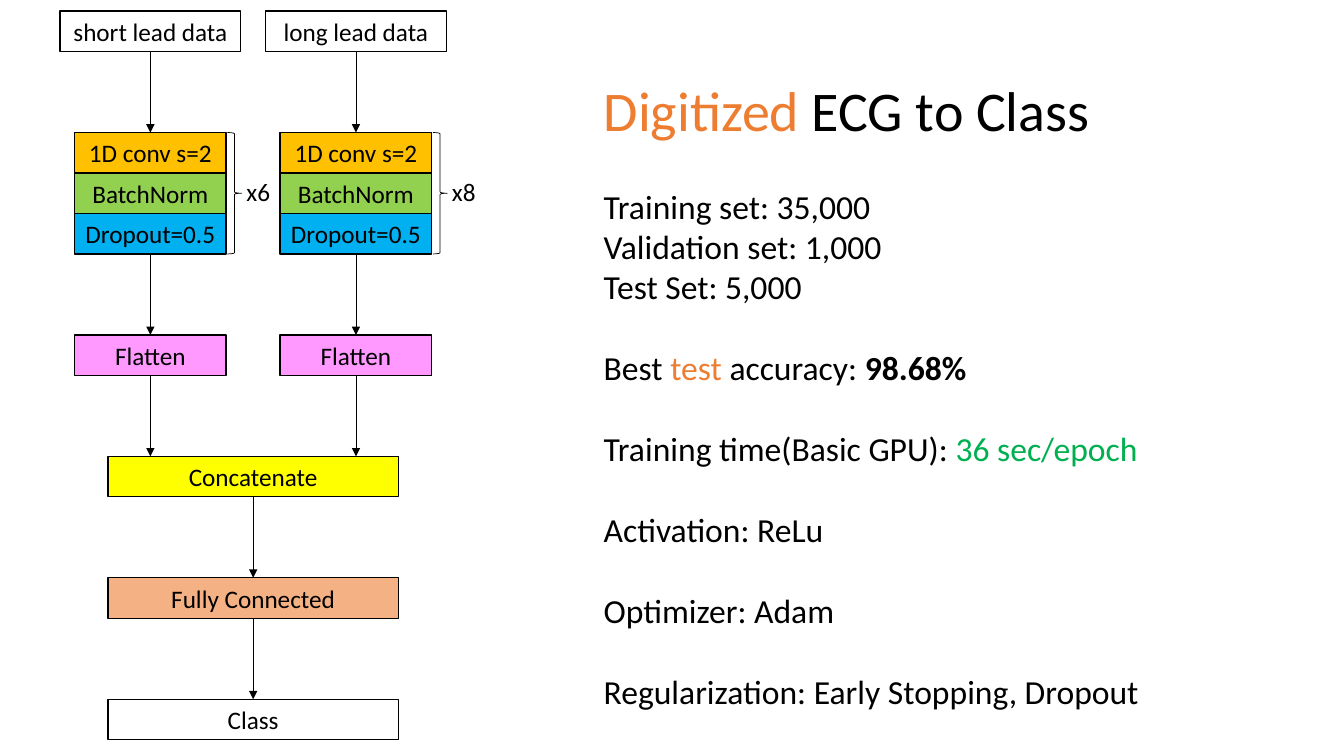
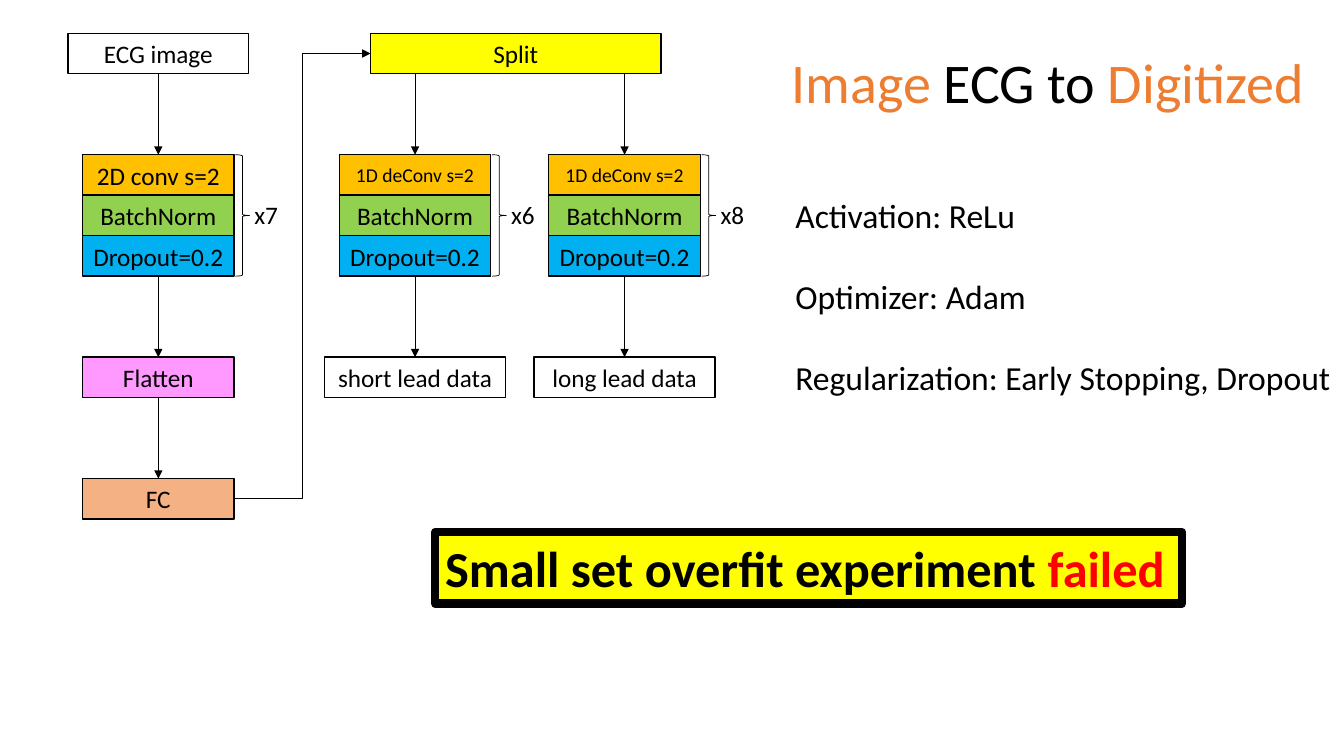
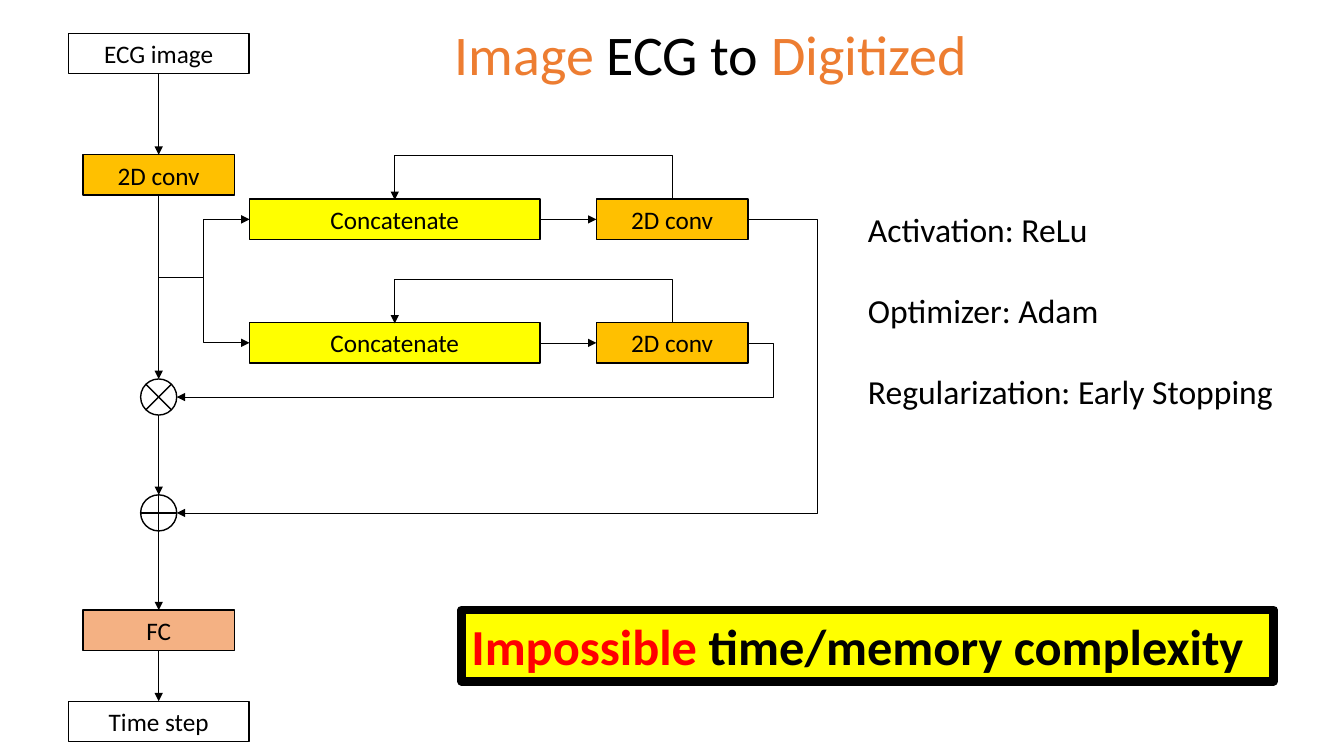
from lxml import etree
from pptx import Presentation
from pptx import util as u
from pptx.dml.color import RGBColor
from pptx.enum import shapes, text
from pptx.oxml.ns import qn

BLACK = RGBColor(0x00, 0x00, 0x00)
WHITE = RGBColor(0xFF, 0xFF, 0xFF)
YELLOW = RGBColor(0xFF, 0xFF, 0x00)
AMBER = RGBColor(0xFF, 0xC0, 0x00)
LIME = RGBColor(0x92, 0xD0, 0x50)
SKY = RGBColor(0x00, 0xB0, 0xF0)
PINK = RGBColor(0xFF, 0x99, 0xFF)
PEACH = RGBColor(0xF4, 0xB1, 0x83)
ORANGE = RGBColor(0xED, 0x7D, 0x31)
GREEN = RGBColor(0x00, 0xB0, 0x50)
RED = RGBColor(0xFF, 0x00, 0x00)

FONT = "Calibri"
ROW = 1.02
WIDE, BLOCK, DATA = 7.32, 3.82, 4.56
JUNCTION = 0.91

IMAGE_TITLE = [("Image", ORANGE), (" ECG to ", BLACK), ("Digitized", ORANGE)]
ACTIVATION = [[("Activation: ReLu", BLACK)]]
OPTIMIZER = [[("Optimizer: Adam", BLACK)]]
DROPOUT = [[("Regularization: Early Stopping, Dropout", BLACK)]]
EARLY_STOPPING = [[("Regularization: Early Stopping", BLACK)]]


def apply(target, values):
    for name, value in values.items():
        setattr(target, name, value)


def place(shape, left, top, width, height):
    apply(shape, {"left": u.Cm(left), "top": u.Cm(top),
                  "width": u.Cm(width), "height": u.Cm(height)})


def write(para, runs, size, align=text.PP_ALIGN.LEFT, bold=False):
    para.alignment = align
    for words, color, *weight in runs:
        span = para.add_run()
        span.text = words
        apply(span.font, {"name": FONT, "size": u.Pt(size),
                          "bold": weight[0] if weight else bold})
        span.font.color.rgb = color


def frame_of(shape, anchor):
    frame = shape.text_frame
    apply(frame, {"word_wrap": True, "vertical_anchor": anchor,
                  "auto_size": text.MSO_AUTO_SIZE.NONE})
    return frame


def add_page(deck, runs, left, top):
    page = deck.slides.add_slide(deck.slide_layouts[1])
    title = page.shapes.title
    place(title, left, top, 13.6, 1.96)
    frame = frame_of(title, text.MSO_ANCHOR.TOP)
    write(frame.paragraphs[0], runs, 40)
    return page


def add_facts(page, left, top, width, height, groups):
    body = page.placeholders[1]
    place(body, left, top, width, height)
    frame = frame_of(body, text.MSO_ANCHOR.TOP)
    lines = [(runs, runs is group[-1]) for group in groups for runs in group]
    for index, (runs, closes_group) in enumerate(lines):
        para = frame.add_paragraph() if index else frame.paragraphs[0]
        apply(para, {"space_before": u.Pt(0), "line_spacing": 1.0,
                     "space_after": u.Pt(29 if closes_group else 0)})
        write(para, runs, 24)
        props = para._p.get_or_add_pPr()
        props.set("marL", "0")
        props.set("indent", "0")
        etree.SubElement(props, qn("a:buNone"))


def add_outline(page, kind, left, top, width, height, fill, weight):
    shape = page.shapes.add_shape(
        kind, u.Cm(left), u.Cm(top), u.Cm(width), u.Cm(height))
    shape.shadow.inherit = False
    if fill is None:
        shape.fill.background()
    else:
        shape.fill.solid()
        shape.fill.fore_color.rgb = fill
    shape.line.color.rgb = BLACK
    shape.line.width = u.Pt(weight)
    return shape


def add_node(page, label, center, top, width, fill, size=18):
    box = add_outline(page, shapes.MSO_SHAPE.RECTANGLE,
                      center - width / 2, top, width, ROW, fill, 1)
    frame = frame_of(box, text.MSO_ANCHOR.MIDDLE)
    apply(frame, {"margin_left": 0, "margin_right": 0})
    write(frame.paragraphs[0], [(label, BLACK)], size, text.PP_ALIGN.CENTER)


def add_stack(page, center, top, conv, dropout, repeat, conv_size=18):
    layers = [(conv, AMBER, conv_size), ("BatchNorm", LIME, 18), (dropout, SKY, 18)]
    for index, (label, fill, size) in enumerate(layers):
        add_node(page, label, center, top + index * ROW, BLOCK, fill, size)
    right = center + BLOCK / 2
    add_outline(page, shapes.MSO_SHAPE.RIGHT_BRACE,
                right + 0.03, top, 0.36, 3 * ROW, None, 0.5)
    box = page.shapes.add_textbox(
        u.Cm(right + 0.26), u.Cm(top + ROW - 0.03), u.Cm(1.5), u.Cm(ROW))
    frame = frame_of(box, text.MSO_ANCHOR.TOP)
    write(frame.paragraphs[0], [(repeat, BLACK)], 18)


def add_junction(page, kind, center, top):
    add_outline(page, kind, center - JUNCTION / 2, top, JUNCTION, JUNCTION, WHITE, 1)


def add_callout(page, left, top, width, runs):
    box = add_outline(page, shapes.MSO_SHAPE.RECTANGLE,
                      left, top, width, 1.8, YELLOW, 6)
    frame = frame_of(box, text.MSO_ANCHOR.TOP)
    write(frame.paragraphs[0], runs, 36, bold=True)


def add_arrow(page, start, end, kind=shapes.MSO_CONNECTOR.STRAIGHT):
    arrow = page.shapes.add_connector(kind, *map(u.Cm, start + end))
    arrow.line.color.rgb = BLACK
    arrow.line.width = u.Pt(0.5)
    props = arrow._element.spPr
    etree.SubElement(props.find(qn("a:ln")), qn("a:tailEnd"), type="triangle")
    etree.SubElement(props, qn("a:effectLst"))
    return arrow


def add_drop(page, x, top, bottom):
    add_arrow(page, (x, top), (x, bottom))


def add_elbow(page, start, end, bend, axis=0):
    arrow = add_arrow(page, start, end, shapes.MSO_CONNECTOR.ELBOW)
    share = (bend - start[axis]) / (end[axis] - start[axis])
    guides = arrow._element.spPr.find(qn("a:prstGeom")).find(qn("a:avLst"))
    etree.SubElement(guides, qn("a:gd"), name="adj1",
                     fmla=f"val {round(share * 100000)}")
    return arrow


def add_loop(page, start, end, bend):
    arrow = add_elbow(page, start, end, bend, axis=1)
    across, down = start[0] - end[0], end[1] - start[1]
    place(arrow, (start[0] + end[0] - down) / 2,
          (start[1] + end[1] - across) / 2, down, across)
    frame = arrow._element.spPr.find(qn("a:xfrm"))
    for name, value in {"rot": "16200000", "flipH": "1", "flipV": "1"}.items():
        frame.set(name, value)


def build_classifier(deck):
    page = add_page(deck, [("Digitized", ORANGE), (" ECG to Class", BLACK)], 14.96, 1.78)
    data, stack, flat, merge, dense, result = [
        0.28 + row * ROW for row in (0, 3, 8, 11, 14, 17)]
    middle = 6.38
    for center, label, repeat in [(3.79, "short lead data", "x6"),
                                  (8.97, "long lead data", "x8")]:
        add_node(page, label, center, data, DATA, WHITE)
        add_stack(page, center, stack, "1D conv s=2", "Dropout=0.5", repeat)
        add_node(page, "Flatten", center, flat, BLOCK, PINK)
        for top, bottom in [(data + ROW, stack), (stack + 3 * ROW, flat),
                            (flat + ROW, merge)]:
            add_drop(page, center, top, bottom)
    for label, top, fill in [("Concatenate", merge, YELLOW),
                             ("Fully Connected", dense, PEACH),
                             ("Class", result, WHITE)]:
        add_node(page, label, middle, top, WIDE, fill)
    add_drop(page, middle, merge + ROW, dense)
    add_drop(page, middle, dense + ROW, result)
    add_facts(page, 14.96, 4.55, 14.07, 13.59, [
        [[("Training set: 35,000", BLACK)],
         [("Validation set: 1,000", BLACK)],
         [("Test Set: 5,000", BLACK)]],
        [[("Best ", BLACK), ("test", ORANGE), (" accuracy: ", BLACK),
          ("98.68%", BLACK, True)]],
        [[("Training time(Basic GPU): ", BLACK), ("36 sec/epoch", GREEN)]],
        ACTIVATION, OPTIMIZER, DROPOUT])


def build_decoder(deck):
    page = add_page(deck, IMAGE_TITLE, 19.7, 1.07)
    first, stack, flat, dense = [0.84 + row * ROW for row in (0, 3, 8, 11)]
    encoder, split = 3.99, 13.0
    add_node(page, "ECG image", encoder, first, DATA, WHITE)
    add_stack(page, encoder, stack, "2D conv s=2", "Dropout=0.2", "x7")
    add_node(page, "Flatten", encoder, flat, BLOCK, PINK)
    add_node(page, "FC", encoder, dense, BLOCK, PEACH)
    add_drop(page, encoder, flat + ROW, dense)
    add_node(page, "Split", split, first, WIDE, YELLOW)
    for center, label, repeat in [(10.46, "short lead data", "x6"),
                                  (15.74, "long lead data", "x8")]:
        add_stack(page, center, stack, "1D deConv s=2", "Dropout=0.2", repeat, 14)
        add_node(page, label, center, flat, DATA, WHITE)
    for center in (encoder, 10.46, 15.74):
        add_drop(page, center, first + ROW, stack)
        add_drop(page, center, stack + 3 * ROW, flat)
    add_elbow(page, (encoder + BLOCK / 2, dense + ROW / 2),
              (split - WIDE / 2, first + ROW / 2), 7.62)
    add_facts(page, 19.79, 4.78, 14.07, 5.38, [ACTIVATION, OPTIMIZER, DROPOUT])
    add_callout(page, 10.97, 13.41, 18.82,
                [("Small set overfit experiment ", BLACK), ("failed", RED)])


def build_recurrent(deck):
    page = add_page(deck, IMAGE_TITLE, 11.21, 0.36)
    first, conv, dense, step = [0.84 + row * ROW for row in (0, 3, 14.25, 16.5)]
    trunk, merge, gate = 4.0, 9.95, 16.94
    times, plus, fork = 9.55, 12.47, 6.99
    for label, top, width, fill in [("ECG image", first, DATA, WHITE),
                                    ("2D conv", conv, BLOCK, AMBER),
                                    ("FC", dense, BLOCK, PEACH),
                                    ("Time step", step, DATA, WHITE)]:
        add_node(page, label, trunk, top, width, fill)
    add_junction(page, shapes.MSO_SHAPE.FLOWCHART_SUMMING_JUNCTION, trunk, times)
    add_junction(page, shapes.MSO_SHAPE.FLOWCHART_OR, trunk, plus)
    for top, bottom in [(first + ROW, conv), (conv + ROW, times),
                        (times + JUNCTION, plus), (plus + JUNCTION, dense),
                        (dense + ROW, step)]:
        add_drop(page, trunk, top, bottom)
    for top, junction, bend in [(5.02, plus, 20.6), (8.13, times, 19.48)]:
        middle = top + ROW / 2
        add_node(page, "Concatenate", merge, top, WIDE, YELLOW)
        add_node(page, "2D conv", gate, top, BLOCK, AMBER)
        add_elbow(page, (trunk, fork), (merge - WIDE / 2, middle), 5.13)
        add_arrow(page, (merge + WIDE / 2, middle), (gate - BLOCK / 2, middle))
        add_loop(page, (gate, top), (merge, top + 0.02), top - 1.1)
        add_elbow(page, (gate + BLOCK / 2, middle),
                  (trunk + JUNCTION / 2, junction + JUNCTION / 2), bend)
    add_facts(page, 21.62, 5.13, 11.1, 5.38, [ACTIVATION, OPTIMIZER, EARLY_STOPPING])
    add_callout(page, 11.63, 15.37, 20.47,
                [("Impossible ", RED), ("time/memory complexity", BLACK)])


def main():
    deck = Presentation()
    apply(deck, {"slide_width": u.Cm(33.87), "slide_height": u.Cm(19.05)})
    for build in (build_classifier, build_decoder, build_recurrent):
        build(deck)
    deck.save("out.pptx")


main()
